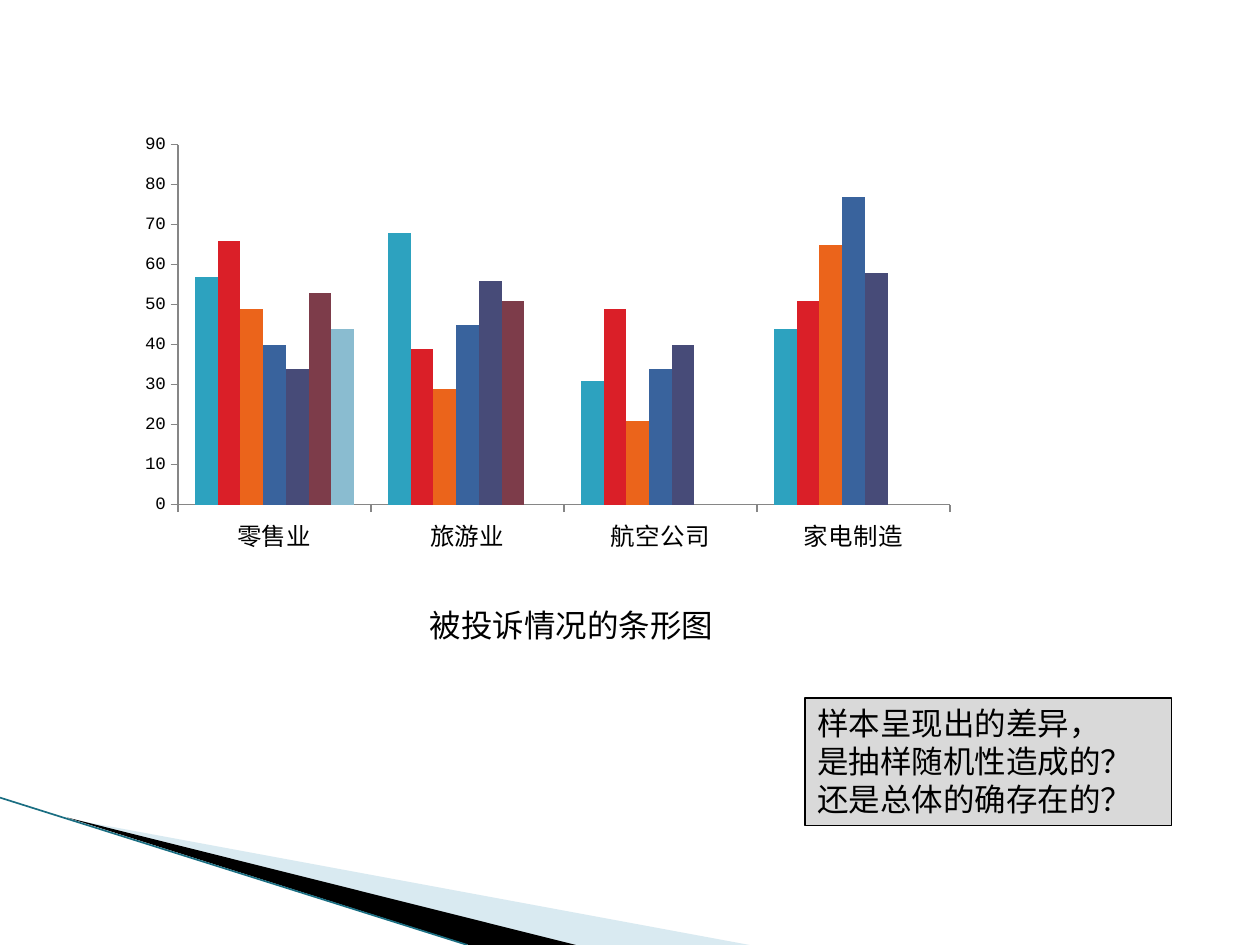
from dataclasses import dataclass
from typing import NamedTuple

from lxml.etree import SubElement
from pptx import Presentation
from pptx.chart.data import CategoryChartData
from pptx.dml.color import RGBColor
from pptx.enum.chart import XL_CHART_TYPE as ChartType, XL_TICK_MARK as TickMark
from pptx.enum.shapes import MSO_CONNECTOR as Connector, MSO_SHAPE as Shape
from pptx.enum.text import MSO_ANCHOR as Anchor, MSO_AUTO_SIZE as AutoSize, PP_ALIGN as Align
from pptx.oxml import parse_xml
from pptx.oxml.ns import nsdecls, qn
from pptx.util import Cm, Pt


@dataclass(frozen=True)
class Theme:
    font: str = "Courier New"
    text: str = "000000"
    axis: str = "868686"
    note_fill: str = "D9D9D9"
    pale: str = "A0CBDC"
    edge: str = "1A6E82"
    bars: tuple = ("2DA2BF", "DA1F28", "EB641B", "39639D", "474B78", "7D3C4A", "8ABCD0")
    body_size: int = 18
    category_size: int = 14
    value_size: int = 10


class Box(NamedTuple):
    """A region of the slide, in centimetres."""
    left: float
    top: float
    width: float
    height: float

    def lengths(self):
        return [Cm(value) for value in self]

    def point(self, x, y):
        return Cm(self.left + x), Cm(self.top + y)


THEME = Theme()
CATEGORIES = ["零售业", "旅游业", "航空公司", "家电制造"]
COMPLAINTS = [
    (57, 68, 31, 44),
    (66, 39, 49, 51),
    (49, 29, 21, 65),
    (40, 45, 34, 77),
    (34, 56, 40, 58),
    (53, 51, None, None),
    (44, None, None, None),
]
PLOT_AREA = {"x": 0.041, "y": 0.021, "w": 0.927, "h": 0.875}


def color(code):
    return RGBColor.from_string(code)


def style_font(font, size):
    font.name = THEME.font
    font.size = Pt(size)
    font.color.rgb = color(THEME.text)


def write_lines(shape, lines):
    frame = shape.text_frame
    frame.word_wrap = True
    frame.auto_size = AutoSize.SHAPE_TO_FIT_TEXT
    frame.vertical_anchor = Anchor.TOP
    frame.text = "\n".join(lines)
    for paragraph in frame.paragraphs:
        paragraph.alignment = Align.LEFT
        style_font(paragraph.font, THEME.body_size)


def add_wedge(slide, box, points, fill, opacity=100):
    start, *others = [box.point(x, y) for x, y in points]
    builder = slide.shapes.build_freeform(*start)
    builder.add_line_segments(others, close=True)
    wedge = builder.convert_to_shape()
    wedge.shadow.inherit = False
    wedge.fill.solid()
    wedge.fill.fore_color.rgb = color(fill)
    wedge.line.fill.background()
    if opacity < 100:
        fill_color = wedge.fill._xPr.find(".//" + qn("a:srgbClr"))
        SubElement(fill_color, qn("a:alpha"), val=str(opacity * 1000))


def add_corner_decoration(slide, box):
    bottom = box.height
    add_wedge(slide, box, [(1.4, 0.43), (15.11, bottom), (11.58, bottom)], THEME.pale, 40)
    add_wedge(slide, box, [(1.35, 0.4), (11.61, bottom), (9.45, bottom)], THEME.text)
    edge = slide.shapes.add_connector(
        Connector.STRAIGHT, *box.point(0, 0), *box.point(9.42, bottom))
    edge.line.color.rgb = color(THEME.edge)
    edge.line.width = Pt(0.95)
    SubElement(edge._element.spPr, qn("a:effectLst"))


def set_plot_layout(chart):
    edges = "".join(f'<c:{key}Mode val="edge"/>' for key in "xy")
    sizes = "".join(f'<c:{key} val="{value}"/>' for key, value in PLOT_AREA.items())
    layout = parse_xml(
        f'<c:layout {nsdecls("c")}><c:manualLayout><c:layoutTarget val="inner"/>'
        f"{edges}{sizes}</c:manualLayout></c:layout>")
    plot_area = chart._chartSpace.chart.plotArea
    for old_layout in plot_area.findall(qn("c:layout")):
        plot_area.remove(old_layout)
    plot_area.insert(0, layout)


def add_complaint_chart(slide, box):
    data = CategoryChartData()
    data.categories = CATEGORIES
    for number, values in enumerate(COMPLAINTS, 1):
        data.add_series(f"Series {number}", values)
    chart = slide.shapes.add_chart(ChartType.COLUMN_CLUSTERED, *box.lengths(), data).chart
    chart.has_legend = False
    chart.has_title = False
    style_font(chart.font, THEME.value_size)
    set_plot_layout(chart)

    # Bars
    plot = chart.plots[0]
    plot.gap_width = 150
    plot.overlap = 0
    plot.vary_by_categories = False
    for series, fill in zip(plot.series, THEME.bars):
        series.format.fill.solid()
        series.format.fill.fore_color.rgb = color(fill)

    # Axes
    axes = ((chart.category_axis, THEME.category_size), (chart.value_axis, THEME.value_size))
    for axis, size in axes:
        axis.has_major_gridlines = False
        axis.major_tick_mark = TickMark.OUTSIDE
        axis.minor_tick_mark = TickMark.NONE
        axis.format.line.color.rgb = color(THEME.axis)
        axis.format.line.width = Pt(0.75)
        style_font(axis.tick_labels.font, size)
    chart.value_axis.minimum_scale = 0
    chart.value_axis.maximum_scale = 90
    chart.value_axis.major_unit = 10


def add_caption(slide, box):
    write_lines(slide.shapes.add_textbox(*box.lengths()), ["被投诉情况的条形图"])


def add_question_note(slide, box):
    note = slide.shapes.add_shape(Shape.RECTANGLE, *box.lengths())
    note.shadow.inherit = False
    note.fill.solid()
    note.fill.fore_color.rgb = color(THEME.note_fill)
    note.line.color.rgb = color(THEME.text)
    note.line.width = Pt(0.75)
    write_lines(note, ["样本呈现出的差异，", "是抽样随机性造成的？", "还是总体的确存在的？"])


def main():
    presentation = Presentation()
    presentation.slide_width = Cm(25.4)
    presentation.slide_height = Cm(19.05)
    slide = presentation.slides.add_slide(presentation.slide_layouts[6])
    add_corner_decoration(slide, Box(0, 16.08, 15.11, 2.97))
    add_complaint_chart(slide, Box(2.9, 2.72, 16.79, 8.41))
    add_caption(slide, Box(8.41, 12.09, 6.4, 1.02))
    add_question_note(slide, Box(16.23, 14.07, 7.39, 2.57))
    presentation.save("out.pptx")


if __name__ == "__main__":
    main()
